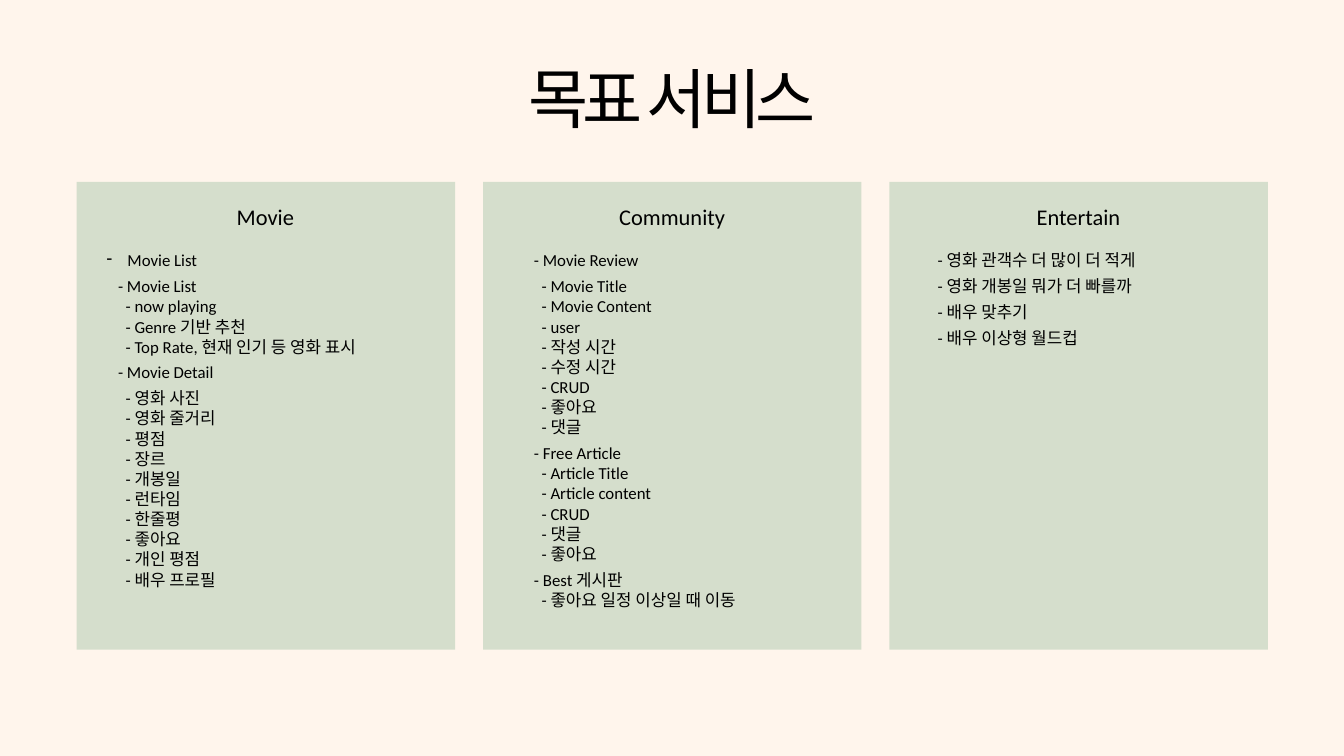
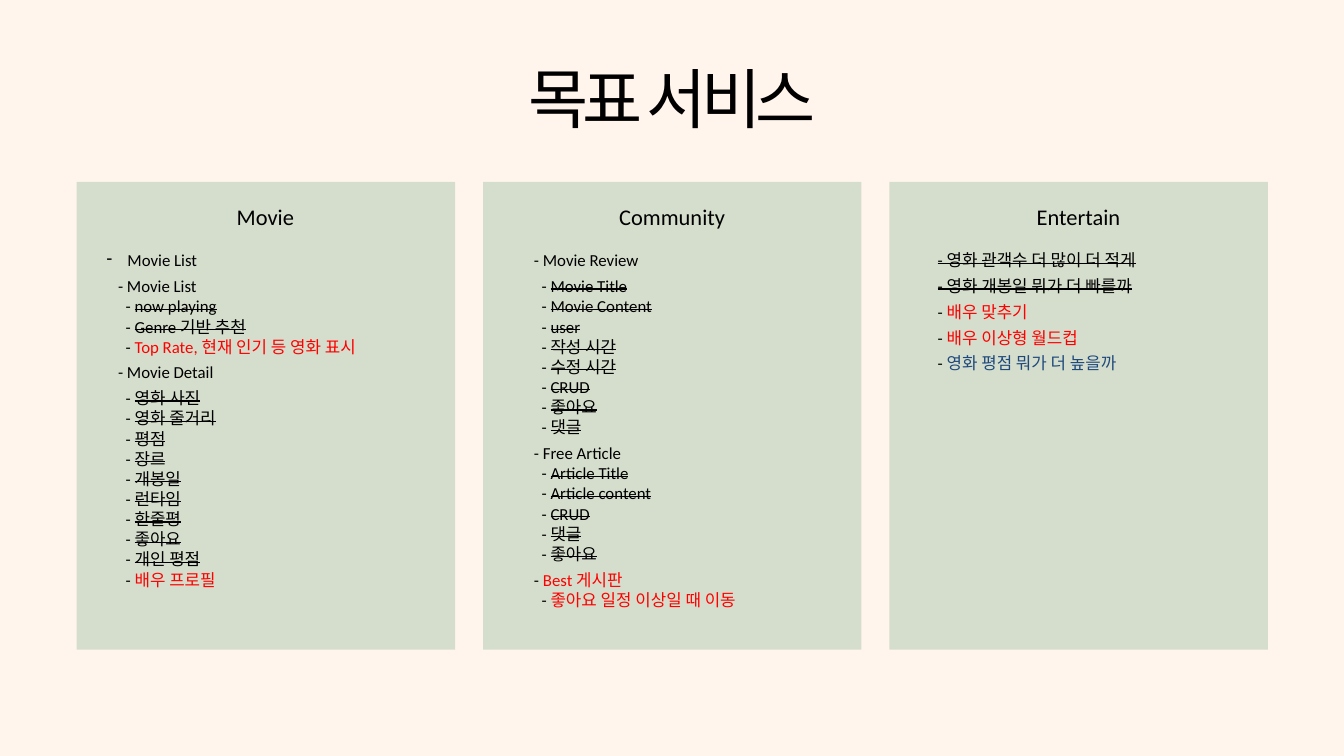
from lxml import etree
from pptx import Presentation
from pptx.dml.color import RGBColor
from pptx.enum import shapes, text
from pptx.oxml.ns import qn
from pptx.util import Cm, Pt

HUES = {"page": "FFF5EC", "panel": "D5DECC", "ink": "000000",
        "new": "FF0000", "extra": "1F497D"}
SANS = "Calibri"
HANGUL = "Noto Sans CJK KR"
SPACE = 0.144

MOVIE = [
    [(0, "Movie List", "bullet")],
    [(3, "Movie List", ""), (5, "now playing", "done"),
     (5, "Genre 기반 추천", "done"),
     (5, "Top Rate, 현재 인기 등 영화 표시", "new")],
    [(3, "Movie Detail", "")],
    [(5, name, "done") for name in (
        "영화 사진", "영화 줄거리", "평점", "장르", "개봉일", "런타임",
        "한줄평", "좋아요", "개인 평점")] + [(5, "배우 프로필", "new")],
]
TALK = [
    [(1, "Movie Review", "")],
    [(3, name, "done") for name in (
        "Movie Title", "Movie Content", "user", "작성 시간", "수정 시간",
        "CRUD", "좋아요", "댓글")],
    [(1, "Free Article", "")] + [(3, name, "done") for name in (
        "Article Title", "Article content", "CRUD", "댓글", "좋아요")],
    [(1, "Best 게시판", "new"), (3, "좋아요 일정 이상일 때 이동", "new")],
]
FUN = [
    [(1, "영화 관객수 더 많이 더 적게", "all")],
    [(1, "영화 개봉일 뭐가 더 빠를까", "all")],
    [(1, "배우 맞추기", "new")],
    [(1, "배우 이상형 월드컵", "new")],
]
EXTRA = [[(1, "영화 평점 뭐가 더 높을까", "extra")]]


def tint(fill, hue):
    fill.solid()
    fill.fore_color.rgb = RGBColor.from_string(HUES[hue])


def write(para, words, size=18, font=SANS, hue="ink", strike=False, track=None):
    run = para.add_run()
    run.text = words
    run.font.size = Pt(size)
    run.font.name = font
    tint(run.font.fill, hue)
    props = run.font._element
    etree.SubElement(props, qn("a:ea")).set("typeface", font)
    if strike:
        props.set("strike", "sngStrike")
    if track:
        props.set("spc", str(track))


def add_box(slide, left, top, width, height):
    frame = slide.shapes.add_textbox(
        Cm(left), Cm(top), Cm(width), Cm(height)).text_frame
    frame.word_wrap = True
    return frame


def add_title(slide, words):
    frame = add_box(slide, 12.2, 2.51, 26.4, 3.02)
    frame.margin_left = frame.margin_right = frame.margin_bottom = 0
    frame.margin_top = Cm(0.03)
    para = frame.paragraphs[0]
    para.alignment = text.PP_ALIGN.CENTER
    para.space_before = Pt(1)
    para.line_spacing = 0.9
    write(para, words, size=70, font=HANGUL, track=-590)


def add_panel(slide, left):
    panel = slide.shapes.add_shape(
        shapes.MSO_SHAPE.RECTANGLE, Cm(left), Cm(6.88), Cm(14.3), Cm(17.68))
    panel.shadow.inherit = False
    tint(panel.fill, "panel")
    panel.line.fill.background()


def indent(para, left, hang=0):
    props = para._p.get_or_add_pPr()
    props.set("marL", str(Cm(left)))
    props.set("indent", str(Cm(hang)))
    return props


def add_row(frame, row, gap, marked):
    spaces, words, mark = row
    para = frame.add_paragraph()
    para.space_before = Pt(gap)
    if mark == "bullet":
        props = indent(para, 0.79, -0.79)
        etree.SubElement(props, qn("a:buChar")).set("char", "-")
        write(para, words)
        return
    indent(para, spaces * SPACE)
    if not marked or not mark:
        write(para, "- " + words)
    elif mark == "all":
        write(para, "- " + words, strike=True)
    else:
        write(para, "- ")
        write(para, words, strike=mark == "done", hue=HUES.get(mark) and mark or "ink")


def add_list(slide, head, groups, left, width, height, marked):
    frame = add_box(slide, left, 7.54, width, height)
    para = frame.paragraphs[0]
    para.alignment = text.PP_ALIGN.CENTER
    write(para, head, size=24)
    for place, group in enumerate(groups):
        for order, row in enumerate(group):
            gap = 0 if order else 6 if place else 22
            add_row(frame, row, gap, marked)


def add_goals(deck, marked):
    slide = deck.slides.add_slide(deck.slide_layouts[6])
    for col in range(3):
        add_panel(slide, 2.9 + col * 15.36)
    add_title(slide, "목표 서비스")
    fun, tall = (FUN + EXTRA, 6.75) if marked else (FUN, 5.77)
    add_list(slide, "Movie", MOVIE, 3.78, 12.5, 16.33, marked)
    add_list(slide, "Community", TALK, 19.79, 11.23, 16.33, marked)
    add_list(slide, "Entertain", fun, 35.05, 11.43, tall, marked)


def main():
    deck = Presentation()
    deck.slide_width = Cm(50.8)
    deck.slide_height = Cm(28.58)
    tint(deck.slide_master.background.fill, "page")
    for marked in (False, True):
        add_goals(deck, marked)
    deck.save("out.pptx")


if __name__ == "__main__":
    main()
